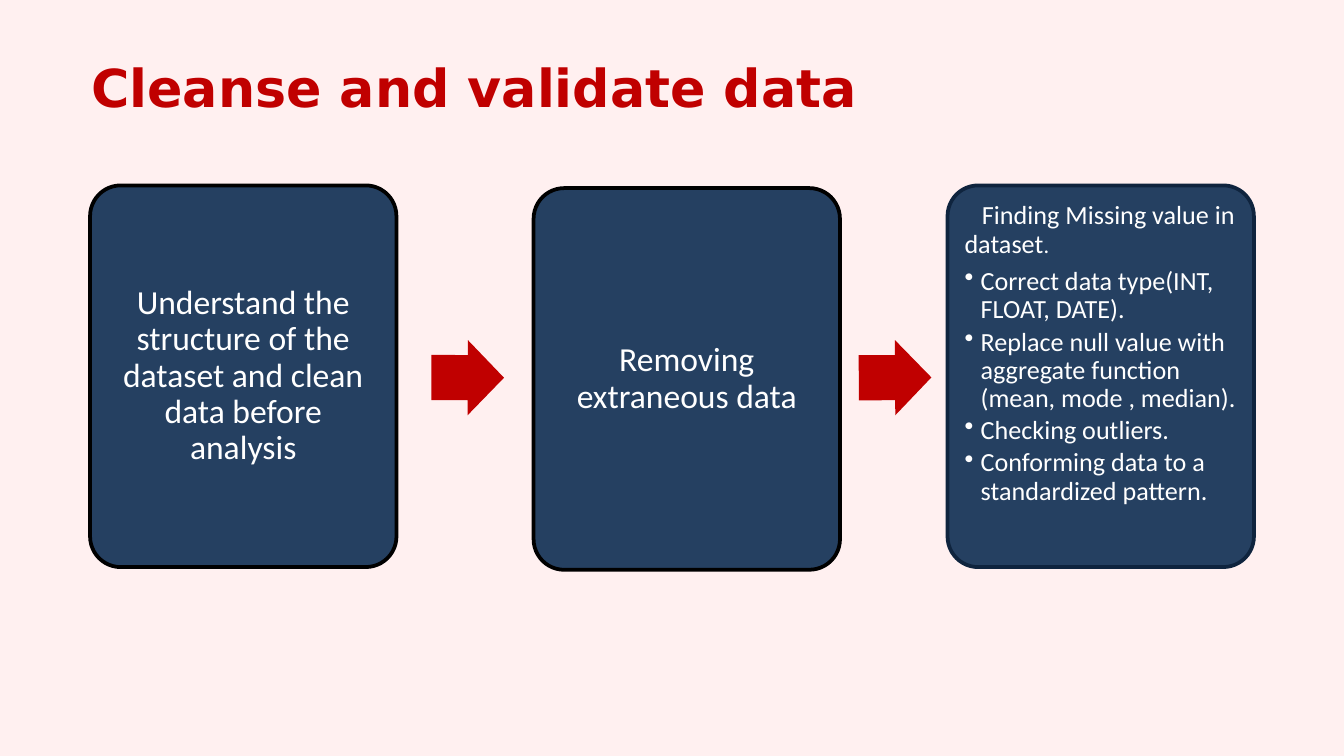
"""Build a slide showing the steps for cleansing and validating data."""
from lxml.etree import SubElement
from pptx import Presentation
from pptx.dml.color import RGBColor
from pptx.enum.shapes import MSO_SHAPE
from pptx.enum.text import MSO_ANCHOR, PP_ALIGN
from pptx.oxml.ns import qn
from pptx.util import Inches, Pt

SLIDE_WIDTH = 10
SLIDE_HEIGHT = SLIDE_WIDTH * 9 / 16
TITLE = "Cleanse and validate data"
CARD_SIZE = (2.28, 2.84)
ARROW_SIZE = (0.54, 0.56)
CARDS = [
    {"left": 0.67, "top": 1.38, "line": "000000",
     "text": "Understand the structure of the dataset and clean data before analysis"},
    {"left": 3.97, "top": 1.4, "line": "000000", "text": "Removing extraneous data"},
    {"left": 7.05, "top": 1.38, "line": "0F243E",
     "text": "Finding Missing value in dataset",
     "bullets": ["Correct data type(INT, FLOAT, DATE).",
                 "Replace null value with aggregate function (mean, mode , median).",
                 "Checking outliers.",
                 "Conforming data to a standardized pattern."]},
]
ARROWS = [(3.21, 2.53, 0.2), (6.39, 2.53, 359.7)]


def color(value):
    return RGBColor.from_string(value)


def add_run(paragraph, text, size=18, font="Calibri", fill="FFFFFF", bold=False):
    run = paragraph.add_run()
    run.text = text
    run.font.size = Pt(size)
    run.font.name = font
    run.font.bold = bold
    run.font.color.rgb = color(fill)


def format_paragraph(paragraph, align=PP_ALIGN.LEFT, after=0, margin=0, indent=0, bullet=None):
    paragraph.alignment = align
    paragraph.line_spacing = 0.9
    paragraph.space_after = Pt(after)
    properties = paragraph._p.get_or_add_pPr()
    properties.set("marL", str(Inches(margin)))
    properties.set("indent", str(Inches(indent)))
    if bullet:
        SubElement(properties, qn("a:buChar")).set("char", bullet)


def set_frame(frame, anchor=MSO_ANCHOR.TOP, inset=0):
    frame.word_wrap = True
    frame.vertical_anchor = anchor
    frame.margin_left = frame.margin_right = Inches(inset)
    frame.margin_top = frame.margin_bottom = Inches(inset)


def add_block(slide, kind, left, top, size, fill, adjustments):
    shape = slide.shapes.add_shape(kind, Inches(left), Inches(top), *map(Inches, size))
    shape.shadow.inherit = False
    shape.fill.solid()
    shape.fill.fore_color.rgb = color(fill)
    for index, value in enumerate(adjustments):
        shape.adjustments[index] = value
    return shape


def add_card(slide, card):
    shape = add_block(slide, MSO_SHAPE.ROUNDED_RECTANGLE, card["left"], card["top"],
                      CARD_SIZE, "254061", [0.1])
    shape.line.color.rgb = color(card["line"])
    shape.line.width = Pt(2)
    frame = shape.text_frame
    paragraph = frame.paragraphs[0]
    bullets = card.get("bullets")
    if not bullets:
        set_frame(frame, MSO_ANCHOR.MIDDLE, 0.07)
        format_paragraph(paragraph, PP_ALIGN.CENTER)
        add_run(paragraph, card["text"])
        return
    set_frame(frame, inset=0.06)
    format_paragraph(paragraph, after=4.9, indent=0.13)
    add_run(paragraph, card["text"], size=14)
    add_run(paragraph, ".", size=12)
    for text in bullets:
        paragraph = frame.add_paragraph()
        format_paragraph(paragraph, after=2.1, margin=0.12, indent=-0.12, bullet="•")
        add_run(paragraph, text, size=14)


def main():
    presentation = Presentation()
    presentation.slide_width = Inches(SLIDE_WIDTH)
    presentation.slide_height = Inches(SLIDE_HEIGHT)
    slide = presentation.slides.add_slide(presentation.slide_layouts[6])
    slide.background.fill.solid()
    slide.background.fill.fore_color.rgb = color("FFF0F0")

    title = slide.shapes.add_textbox(Inches(0.68), Inches(0.41), Inches(5.87), Inches(0.96))
    set_frame(title.text_frame)
    add_run(title.text_frame.paragraphs[0], TITLE, size=28, font="DejaVu Sans",
            fill="C00000", bold=True)

    for card in CARDS:
        add_card(slide, card)
    for left, top, rotation in ARROWS:
        arrow = add_block(slide, MSO_SHAPE.RIGHT_ARROW, left, top, ARROW_SIZE,
                          "C00000", [0.6, 0.5])
        arrow.line.fill.background()
        arrow.rotation = rotation

    presentation.save("out.pptx")


if __name__ == "__main__":
    main()
